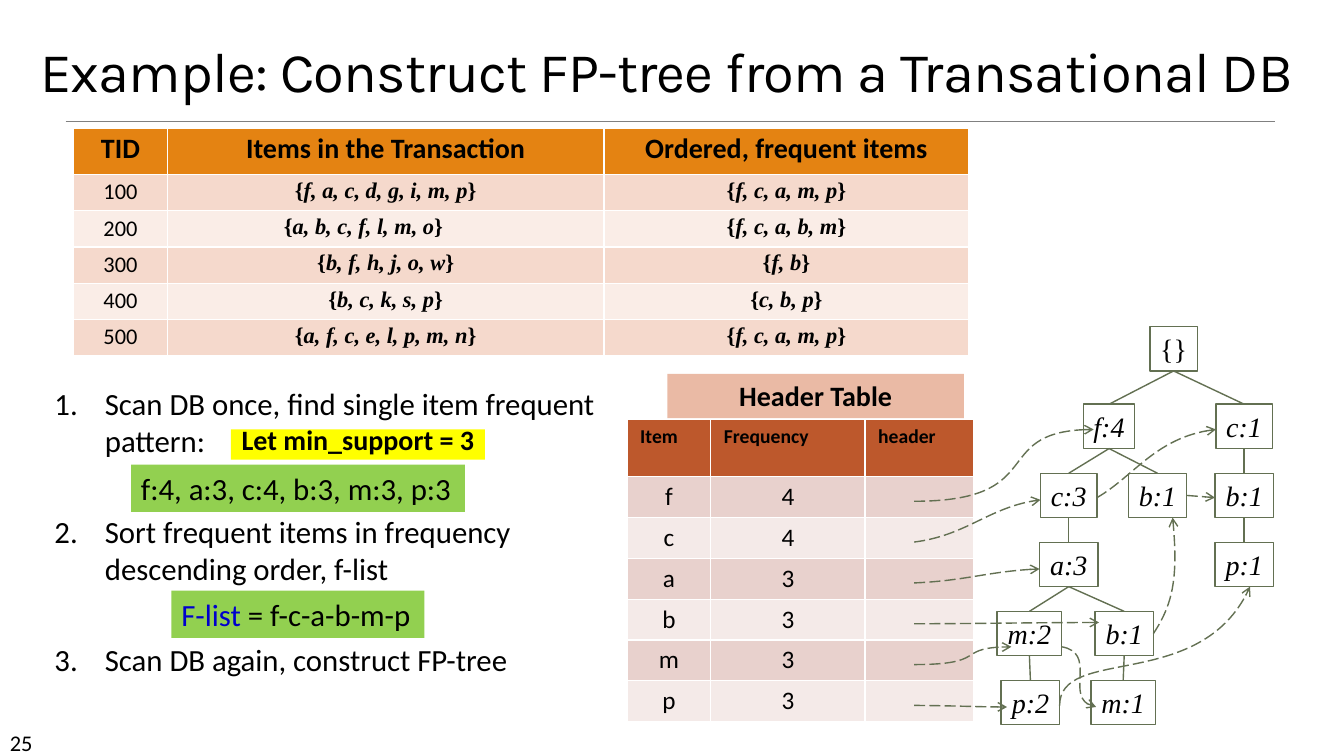
"""Build the slide on constructing an FP-tree from a transaction database."""
from lxml import etree
from pptx import Presentation
from pptx import util as u
from pptx.dml.color import RGBColor
from pptx.enum import dml, shapes, text
from pptx.oxml.ns import qn

TITLE = "Example: Construct FP-tree from a Transational DB"
STEPS = [
    "Scan DB once, find single item frequent pattern:",
    "Sort frequent items in frequency descending order, f-list",
    "Scan DB again, construct FP-tree",
]
TRANSACTIONS = [
    ("TID", "Items in the Transaction", "Ordered, frequent items"),
    ("100", "{f, a, c, d, g, i, m, p}", "{f, c, a, m, p}"),
    ("200", "{a, b, c, f, l, m, o}", "{f, c, a, b, m}"),
    ("300", "{b, f, h, j, o, w}", "{f, b}"),
    ("400", "{b, c, k, s, p}", "{c, b, p}"),
    ("500", "{a, f, c, e, l, p, m, n}", "{f, c, a, m, p}"),
]
ITEM_COUNTS = [("Item", "Frequency", "header"), ("f", "4", ""), ("c", "4", ""),
               ("a", "3", ""), ("b", "3", ""), ("m", "3", ""), ("p", "3", "")]
COLORS = {
    "black": "000000", "blue": "0000CC", "rule": "808080", "tree": "637052",
    "yellow": "FFFF00", "green": "92D050", "peach": "EABAA5",
    "orange": "E48312", "orange odd": "F5D9CC", "orange even": "FAEDE7",
    "rust": "BD582C", "rust odd": "E8D1CD", "rust even": "F4EAE8",
}

# node: label, parent, centre
TREE = {
    "root": ("{}", None, 11.64),
    "f": ("f:4", "root", 11.0),
    "c right": ("c:1", "root", 12.34),
    "c": ("c:3", "f", 10.6),
    "b middle": ("b:1", "f", 11.48),
    "b right": ("b:1", "c right", 12.34),
    "a": ("a:3", "c", 10.6),
    "p right": ("p:1", "b right", 12.34),
    "m": ("m:2", "a", 10.21),
    "b low": ("b:1", "a", 11.15),
    "p": ("p:2", "m", 10.22),
    "m low": ("m:1", "b low", 11.14),
}
NODE_WIDTHS = {"{": 0.47, "f": 0.51, "c": 0.56, "a": 0.58, "b": 0.58, "p": 0.58, "m": 0.64}
NODE_HEIGHT, ROOT_TOP, FIRST_LEVEL_TOP, LEVEL_STEP = 0.44, 3.24, 4.01, 0.685

COUNTS_LEFT, COUNTS_TOP = 6.22, 4.16
COUNTS_WIDTHS, COUNTS_HEIGHTS = (0.83, 1.53, 1.08), (0.57, 0.405)

# bend: two control points, as shares of the way from start to end
GENTLE = ((0.4, 0.15), (0.6, 0.85))
STEEP = ((0.75, 0), (0.4, 1))
RISING = ((0.3, 0.3), (0.5, 0.9))
HOOK = ((1, 0.1), (0, 0.9))
BULGE = ((1, 0.25), (1.3, 0.5))
SWEEP = ((0, 0.5), (0.75, 0.1))

# start, end, bend; each place is a box with shares of its width and height
POINTER = (0.45, 0.6)
NODE_LINKS = [
    (("header f", *POINTER), ("f", 0.2, 0.57), STEEP),
    (("header c", *POINTER), ("c", 0, 0.6), GENTLE),
    (("header a", *POINTER), ("a", 0, 0.6), GENTLE),
    (("header b", *POINTER), ("b low", 0.07, 0.25), GENTLE),
    (("header m", *POINTER), ("m", 0.22, 0.8), STEEP),
    (("header p", *POINTER), ("p", 0.1, 0.6), GENTLE),
    (("c", 1, 0.55), ("c right", 0, 0.57), RISING),
    (("b middle", 1, 0.5), ("b right", 0, 0.55), None),
    (("b low", 1, 0.5), ("b middle", 0.76, 1), BULGE),
    (("m", 1, 0.8), ("m low", 0.08, 0.6), HOOK),
    (("p", 1, 0.57), ("p right", 0.6, 1), SWEEP),
]


def rgb(color):
    return RGBColor.from_string(COLORS[color])


def style(run, size, name="Calibri", bold=False, italic=False, color="black"):
    font = run.font
    font.size, font.name, font.bold, font.italic = u.Pt(size), name, bold, italic
    font.color.rgb = rgb(color)


def add_runs(paragraph, parts):
    for part in parts:
        paragraph.add_run().text = part
    return paragraph.runs


def outline(item, color="tree", width=1):
    item.line.color.rgb, item.line.width = rgb(color), u.Pt(width)


def add_line(start, end, color="tree", width=1):
    line = slide.shapes.add_connector(
        shapes.MSO_CONNECTOR.STRAIGHT, *map(u.Inches, (*start, *end)))
    outline(line, color, width)
    etree.SubElement(line.element.spPr, qn("a:effectLst"))
    return line


def add_curve(start, end, bend):
    controls = [[a + share * (b - a) for a, b, share in zip(start, end, shares)]
                for shares in bend]
    origin, *others = [tuple(map(u.Inches, point)) for point in (start, *controls, end)]
    builder = slide.shapes.build_freeform(*origin)
    builder.add_line_segments(others, close=False)
    curve = builder.convert_to_shape()
    curve.shadow.inherit = False
    curve.fill.background()
    outline(curve)
    segments = list(curve.element.iter(qn("a:lnTo")))
    bezier = etree.SubElement(segments[0].getparent(), qn("a:cubicBezTo"))
    for segment in segments:
        bezier.append(segment[0])
        segment.getparent().remove(segment)
    return curve


def add_link(start, end, bend):
    link = add_curve(start, end, bend) if bend else add_line(start, end)
    link.line.dash_style = dml.MSO_LINE.LONG_DASH
    etree.SubElement(link.element.spPr.find(qn("a:ln")), qn("a:tailEnd"), type="arrow")


def add_box(box, parts, size, fill=None, centred=True, wrap=False, **look):
    panel = slide.shapes.add_shape(shapes.MSO_SHAPE.RECTANGLE, *map(u.Inches, box))
    panel.shadow.inherit = False
    if fill:
        panel.fill.solid()
        panel.fill.fore_color.rgb = rgb(fill)
        panel.line.fill.background()
    else:
        panel.fill.background()
        outline(panel)
    frame = panel.text_frame
    frame.word_wrap, frame.vertical_anchor = wrap, text.MSO_ANCHOR.TOP
    paragraph = frame.paragraphs[0]
    paragraph.alignment = text.PP_ALIGN.CENTER if centred else text.PP_ALIGN.LEFT
    for run in add_runs(paragraph, parts):
        style(run, size, **look)
    return paragraph


def add_grid(rows, left, top, widths, heights, hue, margin, head_size, body_size):
    head, body = heights
    size = sum(widths), head + body * (len(rows) - 1)
    grid = slide.shapes.add_table(
        len(rows), len(widths), *map(u.Inches, (left, top, *size))).table
    for column, width in zip(grid.columns, widths):
        column.width = u.Inches(width)
    for r, row in enumerate(rows):
        grid.rows[r].height = u.Inches(body if r else head)
        for c, words in enumerate(row):
            cell = grid.cell(r, c)
            cell.fill.solid()
            cell.fill.fore_color.rgb = rgb(f"{hue} {'odd' if r % 2 else 'even'}" if r else hue)
            cell.margin_left = cell.margin_right = u.Inches(0.13)
            cell.margin_top = cell.margin_bottom = u.Inches(margin)
            paragraph = cell.text_frame.paragraphs[0]
            paragraph.alignment = text.PP_ALIGN.CENTER
            itemset = words.startswith("{")
            parts = ("{", words[1:-1], "}") if itemset else (words,)
            for n, run in enumerate(add_runs(paragraph, filter(None, parts))):
                style(run, body_size if r else head_size,
                      "Times New Roman" if itemset else "Calibri",
                      bold=itemset or r == 0, italic=n == 1)
    return grid


def spot(place):
    name, across, down = place
    left, top, width, height = boxes[name]
    return left + across * width, top + down * height


prs = Presentation()
prs.slide_width, prs.slide_height = u.Inches(13.33), u.Inches(7.5)
slide = prs.slides.add_slide(prs.slide_layouts[1])
add_line((0.65, 1.2), (12.65, 1.2), "rule", 0.5)

title, steps = slide.shapes.title, slide.placeholders[1]
for holder, words, box in ((title, TITLE, (0.22, 0.33, 12.78, 0.75)),
                           (steps, "\n".join(STEPS), (0.44, 3.77, 5.7, 3.03))):
    holder.left, holder.top, holder.width, holder.height = map(u.Inches, box)
    holder.text_frame.text = words
    holder.text_frame.auto_size = text.MSO_AUTO_SIZE.NONE
title.text_frame.vertical_anchor = text.MSO_ANCHOR.BOTTOM
heading = title.text_frame.paragraphs[0]
heading.alignment, heading.line_spacing = text.PP_ALIGN.CENTER, 0.85
style(heading.runs[0], 40, "Karla")
heading.runs[0].font._element.set("spc", "-50")
for n, step in enumerate(steps.text_frame.paragraphs):
    numbering = step._p.get_or_add_pPr()
    numbering.set("marL", str(u.Inches(0.5)))
    numbering.set("indent", str(-u.Inches(0.5)))
    etree.SubElement(numbering, qn("a:buAutoNum"), type="arabicPeriod")
    step.space_before = u.Pt(38.5 if n else 0)
    style(step.runs[0], 22)

page_number = slide.shapes.add_textbox(*map(u.Inches, (0, 7.18, 1.17, 0.3)))
page_number.text_frame.text = "25"
style(page_number.text_frame.paragraphs[0].runs[0], 16)

transactions = add_grid(TRANSACTIONS, 0.73, 1.27, (0.93, 4.33, 3.62), (0.46, 0.36),
                        "orange", 0.04, head_size=20, body_size=16)
transactions.cell(2, 1).margin_right = u.Inches(0.57)
counts = add_grid(ITEM_COUNTS, COUNTS_LEFT, COUNTS_TOP, COUNTS_WIDTHS, COUNTS_HEIGHTS,
                  "rust", 0.05, head_size=14, body_size=18)
for c in range(len(COUNTS_WIDTHS)):
    counts.cell(0, c).text_frame.paragraphs[0].alignment = text.PP_ALIGN.LEFT

head_height, row_height = COUNTS_HEIGHTS
boxes = {f"header {item}": (COUNTS_LEFT + sum(COUNTS_WIDTHS[:2]),
                            COUNTS_TOP + head_height + n * row_height,
                            COUNTS_WIDTHS[2], row_height)
         for n, (item, _, _) in enumerate(ITEM_COUNTS[1:])}
levels = {None: -1}
for node, (label, parent, centre) in TREE.items():
    level = levels[node] = levels[parent] + 1
    top = FIRST_LEVEL_TOP + (level - 1) * LEVEL_STEP if parent else ROOT_TOP
    width = NODE_WIDTHS[label[0]]
    boxes[node] = (centre - width / 2, top, width, NODE_HEIGHT)
    add_box(boxes[node], [label], 20, name="Times New Roman", italic=level > 0)
    if parent:
        add_line(spot((parent, 0.5, 1)), spot((node, 0.5, 0)))
for start, end, bend in NODE_LINKS:
    add_link(spot(start), spot(end), bend)

support = add_box((2.29, 4.26, 2.52, 0.3), ["Let min_support = 3"], 20, "yellow",
                  wrap=True, bold=True)
support.line_spacing = 0.6
add_box((1.3, 4.61, 3.31, 0.47), ["f:4, a:3, c:4, b:3, m:3, p:3"], 22, "green", False)
f_list = add_box((1.7, 5.86, 2.51, 0.47), ["F-list ", "= f-c-a-b-m-p"], 22, "green", False)
f_list.runs[0].font.color.rgb = rgb("blue")
add_box((6.62, 3.71, 2.94, 0.44), ["Header Table"], 20, "peach", wrap=True, bold=True)

prs.save("out.pptx")
